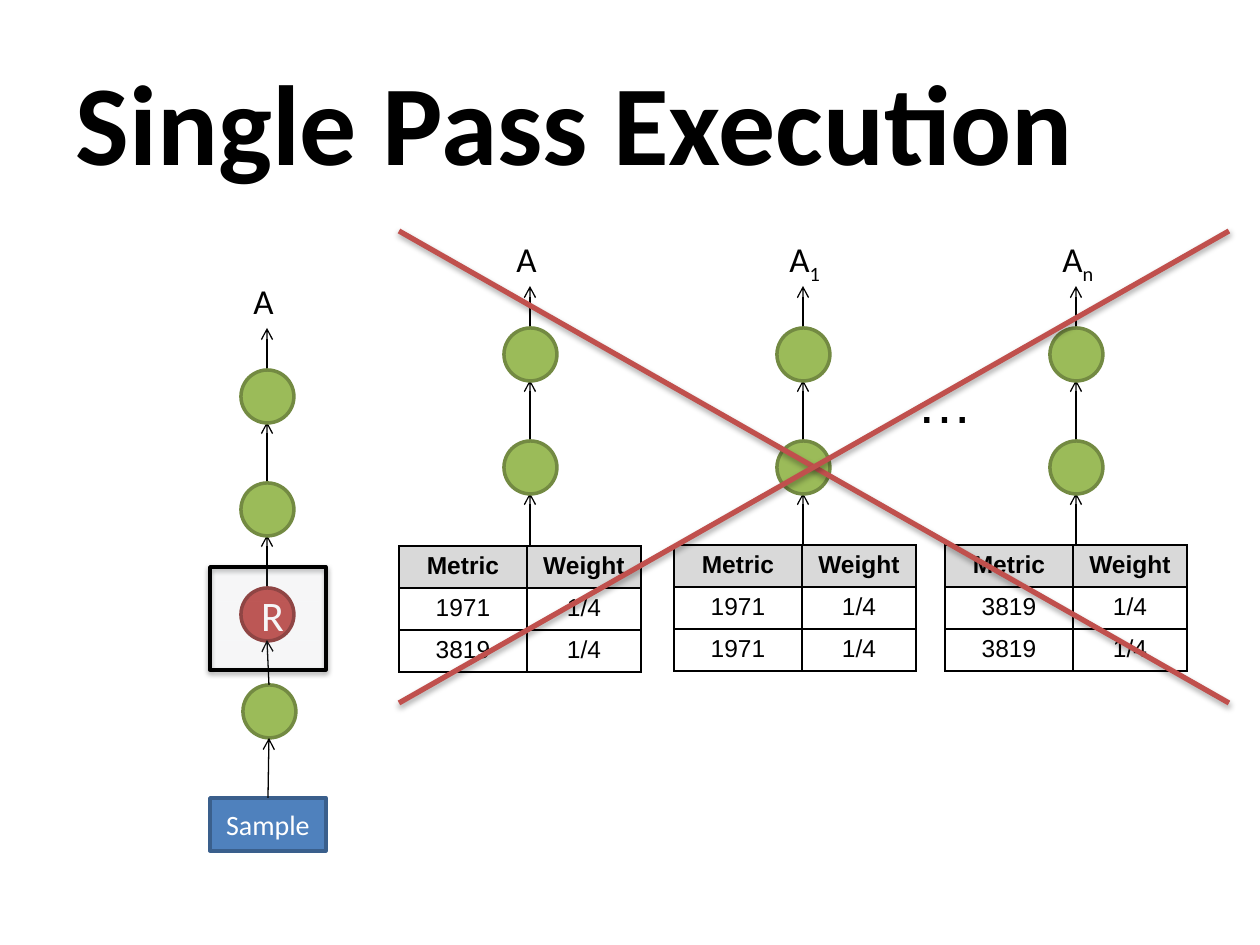
from lxml import etree
from pptx import Presentation
from pptx.dml.color import RGBColor
from pptx.enum.shapes import MSO_CONNECTOR, MSO_SHAPE
from pptx.enum.text import MSO_ANCHOR, MSO_AUTO_SIZE, PP_ALIGN
from pptx.oxml import parse_xml
from pptx.oxml.ns import nsdecls, qn
from pptx.util import Inches, Pt

PX = 914400 // 126
STRAIGHT = MSO_CONNECTOR.STRAIGHT
RECT, OVAL = MSO_SHAPE.RECTANGLE, MSO_SHAPE.OVAL
LEFT, CENTER = PP_ALIGN.LEFT, PP_ALIGN.CENTER
MIDDLE = MSO_ANCHOR.MIDDLE
NO_FIT, GROW = MSO_AUTO_SIZE.NONE, MSO_AUTO_SIZE.SHAPE_TO_FIT_TEXT

BLACK = RGBColor(0x00, 0x00, 0x00)
WHITE = RGBColor(0xFF, 0xFF, 0xFF)
GREEN = RGBColor(0x9B, 0xBB, 0x59)
GREEN_EDGE = RGBColor(0x73, 0x8A, 0x42)
RED = RGBColor(0xC0, 0x50, 0x4D)
RED_EDGE = RGBColor(0x8E, 0x3B, 0x39)
BLUE = RGBColor(0x4F, 0x81, 0xBD)
BLUE_EDGE = RGBColor(0x3A, 0x5F, 0x8C)
PALE_BLUE = RGBColor(0xDC, 0xE6, 0xF2)
GRAY = RGBColor(0xD9, 0xD9, 0xD9)

SHADOW = ('<a:outerShdw %s blurRad="40000" dist="%d" dir="5400000" rotWithShape="0">'
          '<a:srgbClr val="000000"><a:alpha val="%d"/></a:srgbClr></a:outerShdw>')

prs = Presentation()
prs.slide_width, prs.slide_height = Inches(10), Inches(7.5)
s = prs.slides.add_slide(prs.slide_layouts[5])


def add_run(p, text, size, color=BLACK, font="Calibri", bold=False):
    r = p.add_run()
    r.text = text
    r.font.size = Pt(size)
    r.font.name = font
    r.font.bold = bold
    r.font.color.rgb = color
    return r


def add_line(x1, y1, x2, y2, color=BLACK, width=0.75, arrow=True):
    ln = s.shapes.add_connector(STRAIGHT, x1 * PX, y1 * PX, x2 * PX, y2 * PX)
    ln.line.color.rgb = color
    ln.line.width = Pt(width)
    if arrow:
        etree.SubElement(ln.line._ln, qn("a:tailEnd"), type="arrow")
    effects = etree.SubElement(ln._element.spPr, qn("a:effectLst"))
    if not arrow:
        effects.append(parse_xml(SHADOW % (nsdecls("a"), 23000, 35000)))
    return ln


title = s.shapes.title
title.left, title.top, title.width, title.height = 63 * PX, 42 * PX, 1165 * PX, 157 * PX
tf = title.text_frame
tf.auto_size = NO_FIT
tf.vertical_anchor = MIDDLE
tf.paragraphs[0].alignment = LEFT
add_run(tf.paragraphs[0], "Single Pass Execution", 65, bold=True)

for cx, dy, sub in [(267, 42, ""), (530, 0, ""), (803, 0, "1"), (1076, 0, "n")]:
    for y1, y2 in [(545, 493), (441, 380), (328, 286)]:
        add_line(cx, y1 + dy, cx, y2 + dy)
    label = s.shapes.add_textbox((cx - 26) * PX, (231 + dy) * PX, (58 if sub else 47) * PX, 55 * PX)
    tf = label.text_frame
    tf.word_wrap = False
    tf.auto_size = GROW
    add_run(tf.paragraphs[0], "A", 20)
    if sub:
        r = add_run(tf.paragraphs[0], sub, 20)
        r._r.get_or_add_rPr().set("baseline", "-25000")

nodes = [
    (OVAL, 241, 370, 53, 53, GREEN, GREEN_EDGE, "", 16),
    (OVAL, 241, 483, 53, 53, GREEN, GREEN_EDGE, "", 16),
    (OVAL, 241, 588, 53, 53, RED, RED_EDGE, "R", 24),
    (OVAL, 243, 685, 53, 53, GREEN, GREEN_EDGE, "", 16),
    (RECT, 210, 798, 116, 53, BLUE, BLUE_EDGE, "Sample", 16),
]
for x in (504, 777, 1050):
    for y in (328, 441):
        nodes.append((OVAL, x, y, 53, 53, GREEN, GREEN_EDGE, "", 16))
for kind, x, y, w, h, fill, edge, text, size in nodes:
    sp = s.shapes.add_shape(kind, x * PX, y * PX, w * PX, h * PX)
    sp.shadow.inherit = False
    sp.fill.solid()
    sp.fill.fore_color.rgb = fill
    sp.line.color.rgb = edge
    sp.line.width = Pt(2)
    if text:
        p = sp.text_frame.paragraphs[0]
        p.alignment = CENTER
        add_run(p, text, size, WHITE)
    if text == "Sample":
        sample = sp

add_line(269, 685, 267, 640)
add_line(268, 798, 269, 738).begin_connect(sample, 0)

box = s.shapes.add_shape(RECT, 210 * PX, 567 * PX, 116 * PX, 103 * PX)
box.fill.solid()
box.fill.fore_color.rgb = PALE_BLUE
color = box._element.spPr.find(qn("a:solidFill")).find(qn("a:srgbClr"))
etree.SubElement(color, qn("a:alpha"), val="7000")
box.line.color.rgb = BLACK
box.line.width = Pt(2)
box.shadow.inherit = False
box._element.spPr.find(qn("a:effectLst")).append(
    parse_xml(SHADOW % (nsdecls("a"), 20000, 38000)))

for x, y, metrics in [(399, 546, ("1971", "3819")),
                      (674, 545, ("1971", "1971")),
                      (945, 545, ("3819", "3819"))]:
    table = s.shapes.add_table(3, 2, x * PX, y * PX, 242 * PX, 126 * PX).table
    table.first_row = table.horz_banding = False
    table.columns[0].width, table.columns[1].width = 128 * PX, 114 * PX
    rows = [("Metric", "Weight")] + [(m, "1/4") for m in metrics]
    for i, row in enumerate(rows):
        table.rows[i].height = 42 * PX
        for j, text in enumerate(row):
            cell = table.cell(i, j)
            tcPr = cell._tc.get_or_add_tcPr()
            for side in "LRTB":
                tcPr.append(parse_xml(
                    '<a:ln%s %s w="12700"><a:solidFill><a:srgbClr val="000000"/>'
                    '</a:solidFill></a:ln%s>' % (side, nsdecls("a"), side)))
            if i == 0:
                cell.fill.solid()
                cell.fill.fore_color.rgb = GRAY
            else:
                cell.fill.background()
            p = cell.text_frame.paragraphs[0]
            p.alignment = CENTER
            add_run(p, text, 14, font="Arial", bold=i == 0)

dots = s.shapes.add_textbox(903 * PX, 399 * PX, 82 * PX, 81 * PX)
dots.rotation = 180
tf = dots.text_frame
tf.word_wrap = False
tf.auto_size = GROW
add_run(tf.paragraphs[0], "…", 32, font="Arial")

for x1, x2 in [(399, 1229), (1229, 399)]:
    add_line(x1, 231, x2, 703, RED, 3, arrow=False)

prs.save("out.pptx")
